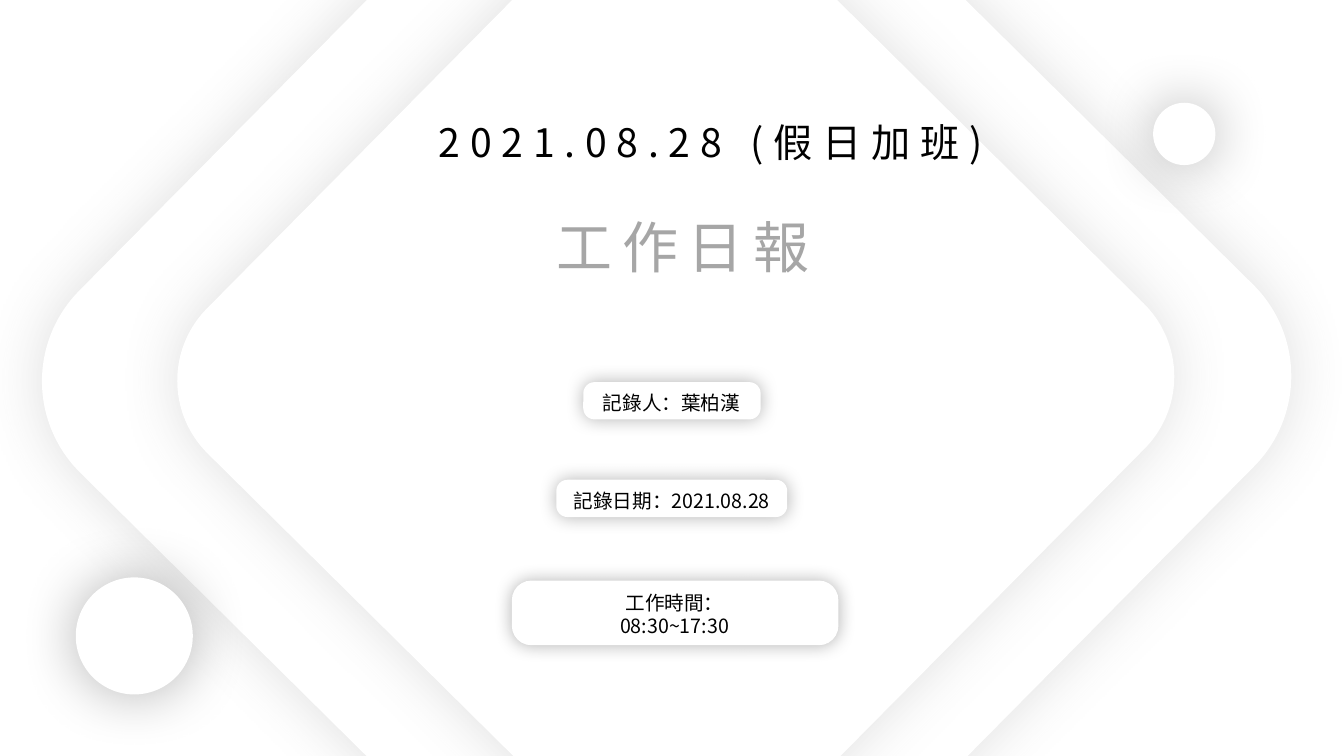
from lxml.etree import SubElement
from pptx import Presentation
from pptx.dml.color import RGBColor
from pptx.enum.shapes import MSO_SHAPE
from pptx.enum.text import MSO_ANCHOR, MSO_AUTO_SIZE, PP_ALIGN
from pptx.oxml.ns import qn
from pptx.util import Cm, Pt

FONT = "Noto Sans CJK SC"
COLORS = {"white": "FFFFFF", "black": "000000", "gray": "A6A6A6", "shade": "595959"}


def add_glow(s, color, alpha, blur):
    """Give the shape a soft, centred shadow; alpha in percent, blur in points."""
    s.shadow.inherit = False
    effects = s._element.spPr.find(qn("a:effectLst"))
    shadow = SubElement(effects, qn("a:outerShdw"), blurRad=str(Pt(blur)),
                        dist="0", dir="0", algn="ctr", rotWithShape="0")
    clr = SubElement(shadow, qn("a:srgbClr"), val=COLORS[color])
    SubElement(clr, qn("a:alpha"), val=str(alpha * 1000))


def add_soft_shape(shapes, kind, box, glow, corner=None, rotation=0):
    s = shapes.add_shape(kind, *map(Cm, box))
    s.fill.solid()
    s.fill.fore_color.rgb = RGBColor.from_string(COLORS["white"])
    s.line.fill.background()
    s.rotation = rotation
    if corner is not None:
        s.adjustments[0] = corner
    add_glow(s, *glow)


def add_text(shapes, box, lines, size, color="black", spacing=0):
    """Add centred lines; spacing is the letter spacing in points."""
    tf = shapes.add_textbox(*map(Cm, box)).text_frame
    frame = {"word_wrap": True, "auto_size": MSO_AUTO_SIZE.SHAPE_TO_FIT_TEXT,
             "vertical_anchor": MSO_ANCHOR.TOP,
             "margin_top": Cm(0.13) + Pt(0.08 * size)}
    for name, value in frame.items():
        setattr(tf, name, value)
    for i, line in enumerate(lines):
        p = tf.add_paragraph() if i else tf.paragraphs[0]
        p.alignment = PP_ALIGN.CENTER
        p.line_spacing = Pt(1.2 * size)
        r = p.add_run()
        r.text = line
        for name, value in {"name": FONT, "size": Pt(size)}.items():
            setattr(r.font, name, value)
        r.font.color.rgb = RGBColor.from_string(COLORS[color])
        rPr = r._r.get_or_add_rPr()
        SubElement(rPr, qn("a:ea"), typeface=FONT)
        if spacing:
            rPr.set("spc", str(spacing * 100))


def add_label(shapes, pill_box, text_box, lines):
    group = shapes.add_group_shape()
    add_soft_shape(group.shapes, MSO_SHAPE.ROUNDED_RECTANGLE, pill_box,
                   ("black", 30, 13), corner=0.302)
    add_text(group.shapes, text_box, lines, 14)


def main():
    prs = Presentation()
    prs.slide_width, prs.slide_height = Cm(33.87), Cm(19.05)
    shapes = prs.slides.add_slide(prs.slide_layouts[6]).shapes

    for left, top, side in [(4.72, -2.54, 24.16), (7.39, -0.1, 19.28)]:
        add_soft_shape(shapes, MSO_SHAPE.ROUNDED_RECTANGLE, (left, top, side, side),
                       ("shade", 19, 43), corner=0.134, rotation=44.7)

    add_text(shapes, (6.76, 2.77, 22.3, 1.45), ["2021.08.28 (假日加班)"], 28, spacing=7)
    add_text(shapes, (11.18, 5.11, 12.07, 1.96), ["工作日報"], 40, "gray", spacing=7)

    for left, top, side in [(1.91, 14.55, 2.95), (29.06, 2.59, 1.57)]:
        add_soft_shape(shapes, MSO_SHAPE.OVAL, (left, top, side, side), ("black", 30, 43))

    labels = [
        ((14.7, 9.63, 4.47, 0.94), (14.27, 9.68, 5.31, 0.86), ["記錄人：葉柏漢"]),
        ((14.02, 12.09, 5.82, 0.94), (13.87, 12.14, 6.12, 0.86), ["記錄日期：2021.08.28"]),
        ((12.9, 14.63, 8.23, 1.63), (12.67, 14.71, 8.66, 1.45), ["工作時間：", "08:30~17:30"]),
    ]
    for pill_box, text_box, lines in labels:
        add_label(shapes, pill_box, text_box, lines)

    prs.save("out.pptx")


if __name__ == "__main__":
    main()
